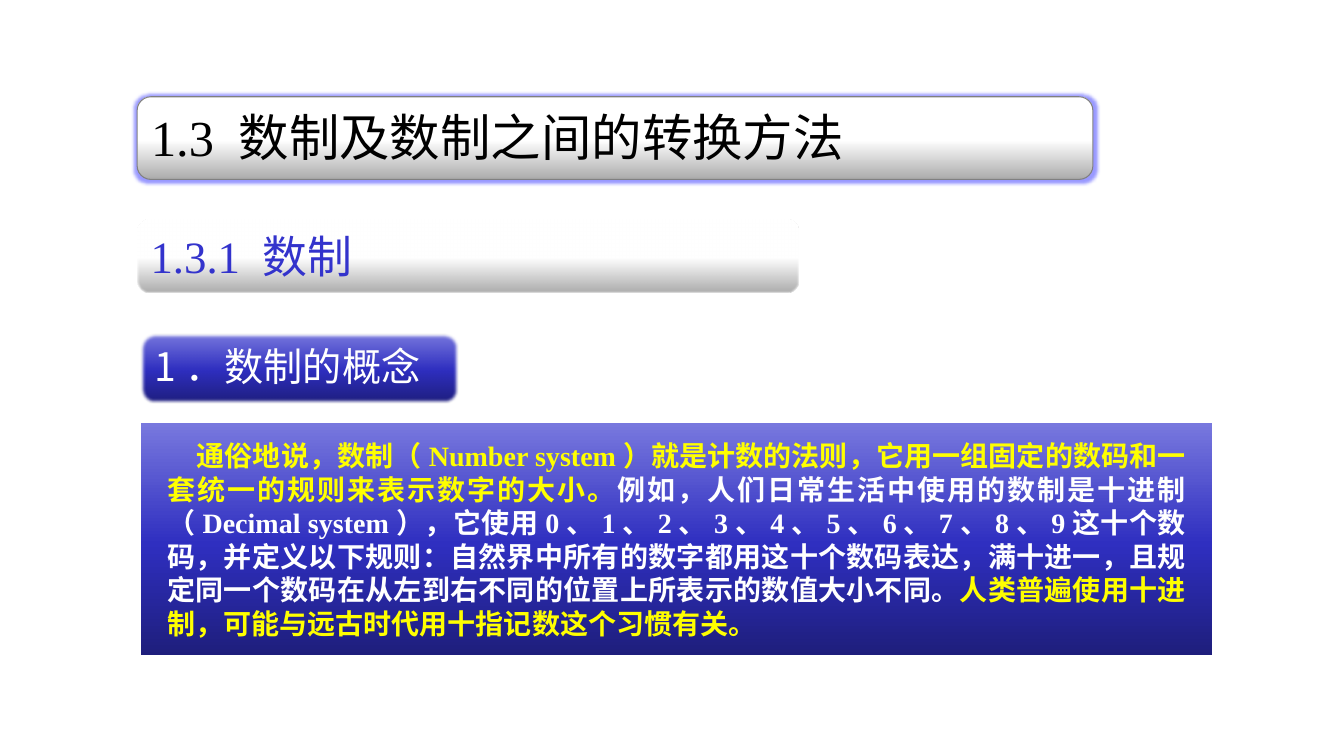
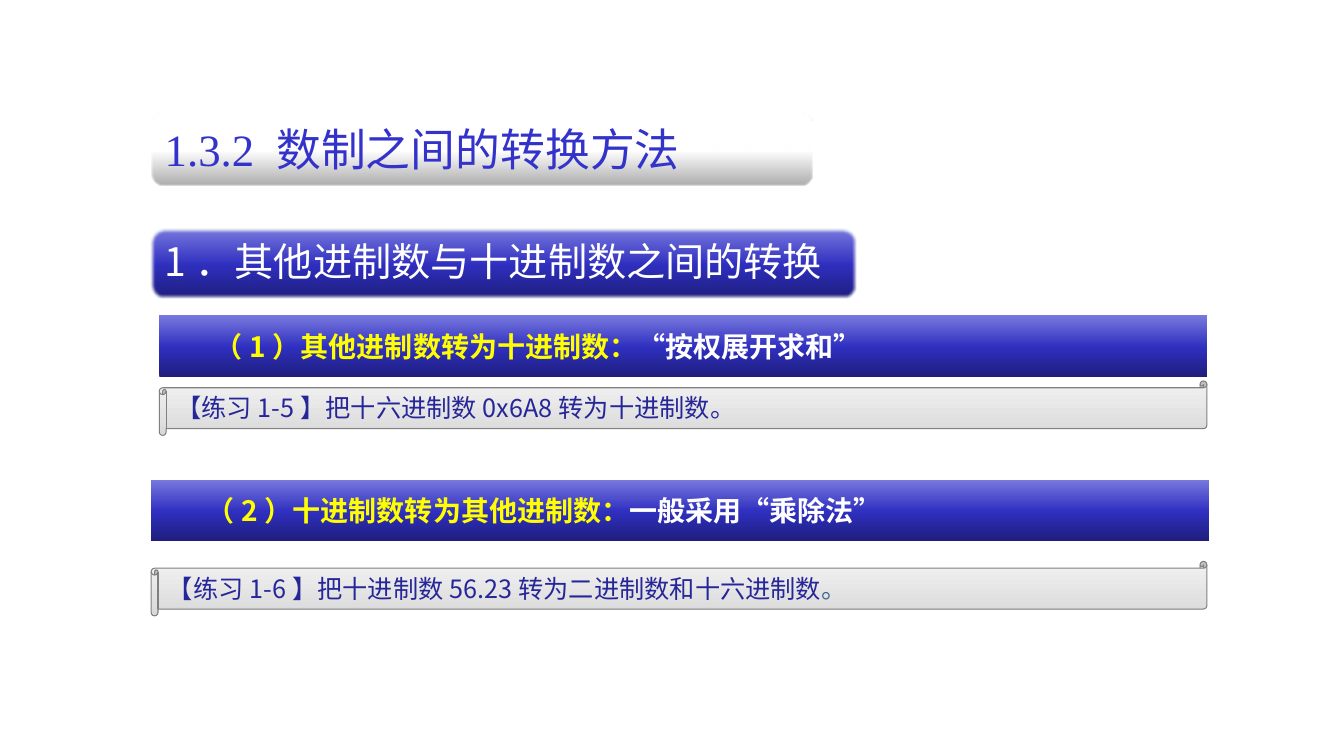
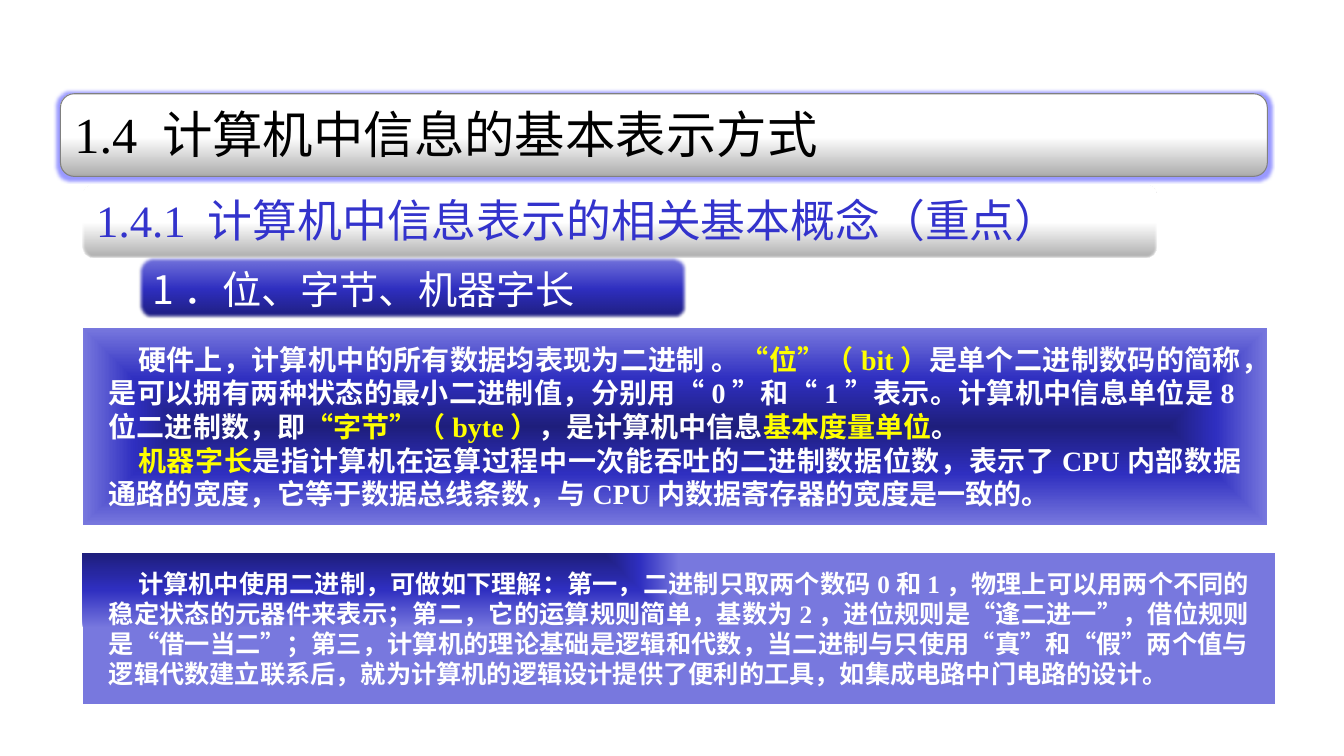
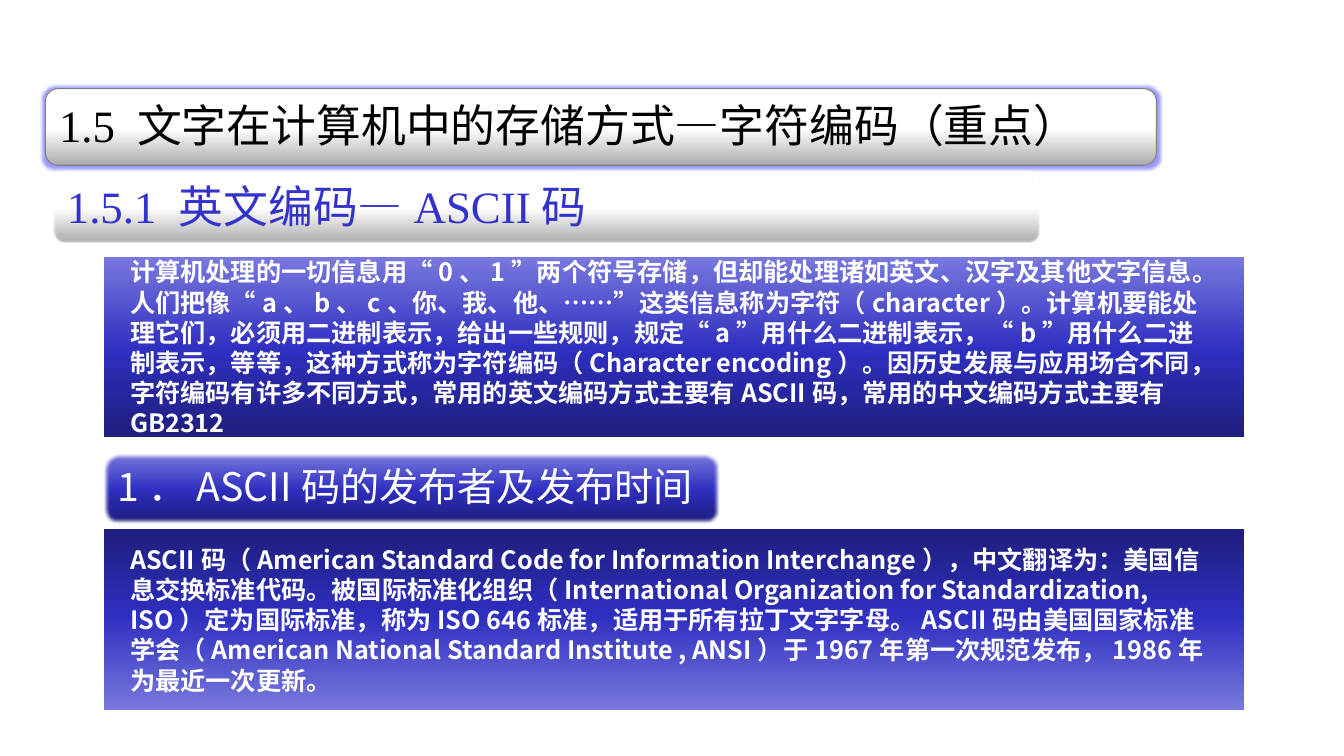
import pptx
import pptx.util
import pptx.dml.color
import pptx.enum.shapes
import pptx.enum.text
import pptx.oxml
import pptx.oxml.ns
import lxml.etree

Inches = pptx.util.Inches
Pt = pptx.util.Pt
qn = pptx.oxml.ns.qn
SHAPE = pptx.enum.shapes.MSO_SHAPE
ALIGN = pptx.enum.text.PP_ALIGN
ANCHOR = pptx.enum.text.MSO_ANCHOR
FIT = pptx.enum.text.MSO_AUTO_SIZE

SANS = "Noto Sans CJK SC"
SERIF = "Times New Roman"
WHITE, BLACK, YELLOW = "FFFFFF", "000000", "FFFF00"
BLUE, NAVY, TEAL = "3333CC", "262699", "3C658E"
GRAY, HALO = "808080", "9999FF"
DEEP = [(0, "1E1E7C"), (48, "2F2FC0"), (100, "7878DE")]
SILVER = [(0, "ABABAB"), (48, WHITE), (100, WHITE)]
PAPER = [(0, "F2F2F2"), (100, "D9D9D9")]
UP, DOWN = 270, 90
CENTER, CORNER = (50, 50, 50, 50), (0, 0, 100, 100)


def color(code):
    return pptx.dml.color.RGBColor.from_string(code)


def node(parent, tag, **attrs):
    child = lxml.etree.SubElement(parent, qn(tag))
    for key, value in attrs.items():
        child.set(key, str(value))
    return child


def shade(shape, stops, flow):
    shape.fill.gradient()
    grad = shape.element.spPr.find(qn("a:gradFill"))
    for child in list(grad):
        grad.remove(child)
    group = node(grad, "a:gsLst")
    for place, code in stops:
        node(node(group, "a:gs", pos=place * 1000), "a:srgbClr", val=code)
    if isinstance(flow, tuple):
        sides = {side: part * 1000 for side, part in zip("ltrb", flow)}
        node(node(grad, "a:path", path="rect"), "a:fillToRect", **sides)
    else:
        node(grad, "a:lin", ang=flow * 60000, scaled=0)


def panel(slide, kind, box, stops, flow, edge=False):
    shape = slide.shapes.add_shape(kind, *map(Inches, box))
    shape.shadow.inherit = False
    shade(shape, stops, flow)
    if edge:
        shape.line.color.rgb = color(GRAY)
        shape.line.width = Pt(0.75)
    else:
        shape.line.fill.background()
    return shape


def effects(shape):
    return shape.element.spPr.find(qn("a:effectLst"))


def soften(shape, size):
    node(effects(shape), "a:softEdge", rad=Pt(size))


def write(shape, paras, size, font, bold=False, wrap=True, align=ALIGN.LEFT, indent=0):
    frame = shape.text_frame
    frame.word_wrap = wrap
    frame.vertical_anchor = ANCHOR.TOP
    for index, parts in enumerate(paras):
        para = frame.add_paragraph() if index else frame.paragraphs[0]
        para.alignment = align
        if indent:
            props = para._p.get_or_add_pPr()
            props.set("marL", "0")
            props.set("indent", str(Inches(indent)))
        for text, code in parts:
            run = para.add_run()
            run.text = text
            run.font.size = Pt(size)
            run.font.bold = bold
            run.font.name = font
            run.font.color.rgb = color(code)
            node(run._r.get_or_add_rPr(), "a:ea", typeface=SANS)


def title(slide, box, text, size=36):
    shape = panel(slide, SHAPE.ROUNDED_RECTANGLE, box, SILVER, UP, True)
    node(node(effects(shape), "a:glow", rad=Pt(5)), "a:srgbClr", val=HALO)
    write(shape, [[(text, BLACK)]], size, SERIF, wrap=False)


def section(slide, left, top, width, text):
    box = (left, top, width, 0.72)
    shape = panel(slide, SHAPE.ROUNDED_RECTANGLE, box, SILVER, UP)
    soften(shape, 1)
    write(shape, [[(text, BLUE)]], 32, SERIF, wrap=False)


def topic(slide, box, text):
    shape = panel(slide, SHAPE.ROUNDED_RECTANGLE, box, DEEP, UP, True)
    soften(shape, 2.5)
    write(shape, [[(text, WHITE)]], 28, SANS, wrap=False)


def body(slide, box, paras, size=20, font=SERIF, flow=UP, align=ALIGN.JUSTIFY, indent=0.29):
    shape = panel(slide, SHAPE.RECTANGLE, box, DEEP, flow)
    write(shape, paras, size, font, True, align=align, indent=indent)
    frame = shape.text_frame
    frame.margin_left = frame.margin_right = Inches(0.26)
    frame.margin_top = frame.margin_bottom = Inches(0.14)
    frame.vertical_anchor = ANCHOR.MIDDLE
    frame.auto_size = FIT.SHAPE_TO_FIT_TEXT


def scroll(slide, left, top, width, parts):
    box = (left, top, width, 0.54)
    shape = panel(slide, SHAPE.HORIZONTAL_SCROLL, box, PAPER, DOWN, True)
    write(shape, [parts], 18, SANS)
    shape.text_frame.auto_size = FIT.SHAPE_TO_FIT_TEXT


def systems(slide):
    topic(slide, (1.4, 3.31, 3.14, 0.69), "1．数制的概念")
    body(slide, (1.4, 4.2, 10.62, 2.3), [[
        ("通俗地说，数制（Number system）就是计数的法则，它用一组固定的数码和一套统一的规则来表示数字的大小。", YELLOW),
        ("例如，人们日常生活中使用的数制是十进制（Decimal system），它使用0、1、2、3、4、5、6、7、8、9这十个数码，"
         "并定义以下规则：自然界中所有的数字都用这十个数码表达，满十进一，且规定同一个数码在从左到右不同的位置上所表示的数值大小不同。", WHITE),
        ("人类普遍使用十进制，可能与远古时代用十指记数这个习惯有关。", YELLOW),
    ]])
    title(slide, (1.36, 0.96, 9.48, 0.82), "1.3 数制及数制之间的转换方法")
    section(slide, 1.36, 2.18, 6.56, "1.3.1 数制")


def convert(slide):
    topic(slide, (1.5, 2.27, 6.99, 0.69), "1．其他进制数与十进制数之间的转换")
    body(slide, (1.5, 4.76, 10.49, 0.61), [[
        ("（2）十进制数转为其他进制数：", YELLOW), ("一般采用“乘除法”", WHITE)]], font=SANS)
    body(slide, (1.58, 3.13, 10.39, 0.61), [[
        ("（1）其他进制数转为十进制数：", YELLOW), ("“按权展开求和”", WHITE)]], font=SANS)
    scroll(slide, 1.58, 3.78, 10.39, [("【练习1-5】把十六进制数0x6A8转为十进制数。", NAVY)])
    scroll(slide, 1.5, 5.57, 10.47, [
        ("【练习1-6】把十进制数56.23转为二进制数和十六进制数", NAVY), ("。", TEAL)])
    section(slide, 1.5, 1.12, 6.56, "1.3.2 数制之间的转换方法")


def units(slide):
    topic(slide, (1.38, 2.55, 5.42, 0.61), "1．位、字节、机器字长")
    body(slide, (0.82, 3.25, 11.75, 1.96), [[
        ("硬件上，计算机中的所有数据均表现为二进制 。", WHITE),
        ("“位”（bit）", YELLOW),
        ("是单个二进制数码的简称，是可以拥有两种状态的最小二进制值，分别用“0”和“1”表示。计算机中信息单位是8位二进制数，即", WHITE),
        ("“字节”（byte）", YELLOW),
        ("，是计算机中信息", WHITE),
        ("基本度量单位", YELLOW),
        ("。", WHITE),
    ], [
        ("机器字长", YELLOW),
        ("是指计算机在运算过程中一次能吞吐的二进制数据位数，表示了CPU内部数据通路的宽度，"
         "它等于数据总线条数，与CPU内数据寄存器的宽度是一致的。", WHITE),
    ]], flow=CENTER)
    title(slide, (0.6, 0.93, 11.97, 0.82), "1.4 计算机中信息的基本表示方式")
    section(slide, 0.82, 1.83, 10.65, "1.4.1 计算机中信息表示的相关基本概念（重点）")
    body(slide, (0.82, 5.49, 11.83, 1.49), [[
        ("计算机中使用二进制，可做如下理解：第一，二进制只取两个数码0和1，物理上可以用两个不同的稳定状态的元器件来表示；"
         "第二，它的运算规则简单，基数为2，进位规则是“逢二进一”，借位规则是“借一当二”；"
         "第三，计算机的理论基础是逻辑和代数，当二进制与只使用“真”和“假”两个值与逻辑代数建立联系后，"
         "就为计算机的逻辑设计提供了便利的工具，如集成电路中门电路的设计。", WHITE),
    ]], size=18, flow=CORNER)


def codes(slide):
    plain = dict(size=18, font=SANS, align=ALIGN.LEFT, indent=0)
    body(slide, (1.03, 5.25, 11.31, 1.79), [[
        ("ASCII码（American Standard Code for Information Interchange），中文翻译为：美国信息交换标准代码。"
         "被国际标准化组织（International Organization for Standardization, ISO）定为国际标准，"
         "称为ISO 646标准，适用于所有拉丁文字字母。ASCII码由美国国家标准学会"
         "（American National Standard Institute , ANSI）于1967年第一次规范发布，1986年为最近一次更新。", WHITE),
    ]], flow=DOWN, **plain)
    topic(slide, (1.03, 4.5, 6.1, 0.69), "1．ASCII码的发布者及发布时间")
    body(slide, (1.03, 2.55, 11.31, 1.79), [[
        ("计算机处理的一切信息用“0、1”两个符号存储，但却能处理诸如英文、汉字及其他文字信息。"
         "人们把像“a、b、c、你、我、他、……”这类信息称为字符（character）。"
         "计算机要能处理它们，必须用二进制表示，给出一些规则，规定“a”用什么二进制表示，“b”用什么二进制表示，等等，"
         "这种方式称为字符编码（Character encoding）。因历史发展与应用场合不同，字符编码有许多不同方式，"
         "常用的英文编码方式主要有ASCII码，常用的中文编码方式主要有GB2312", WHITE),
    ]], **plain)
    title(slide, (0.45, 0.88, 11.02, 0.76), "1.5 文字在计算机中的存储方式—字符编码（重点）", 32)
    section(slide, 0.53, 1.69, 9.78, "1.5.1 英文编码—ASCII码")


def main():
    deck = pptx.Presentation()
    deck.slide_width, deck.slide_height = Inches(13.33), Inches(7.5)
    for build in (systems, convert, units, codes):
        build(deck.slides.add_slide(deck.slide_layouts[6]))
    deck.save("out.pptx")


if __name__ == "__main__":
    main()
